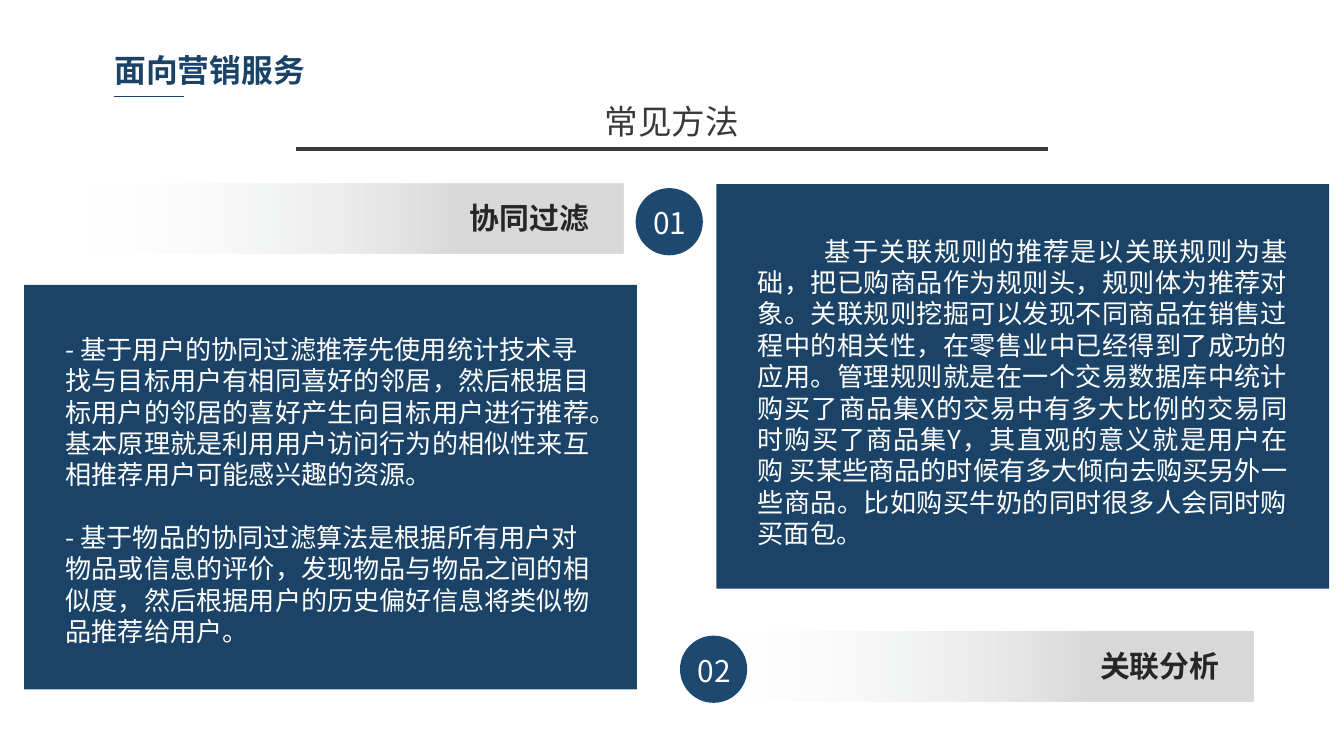
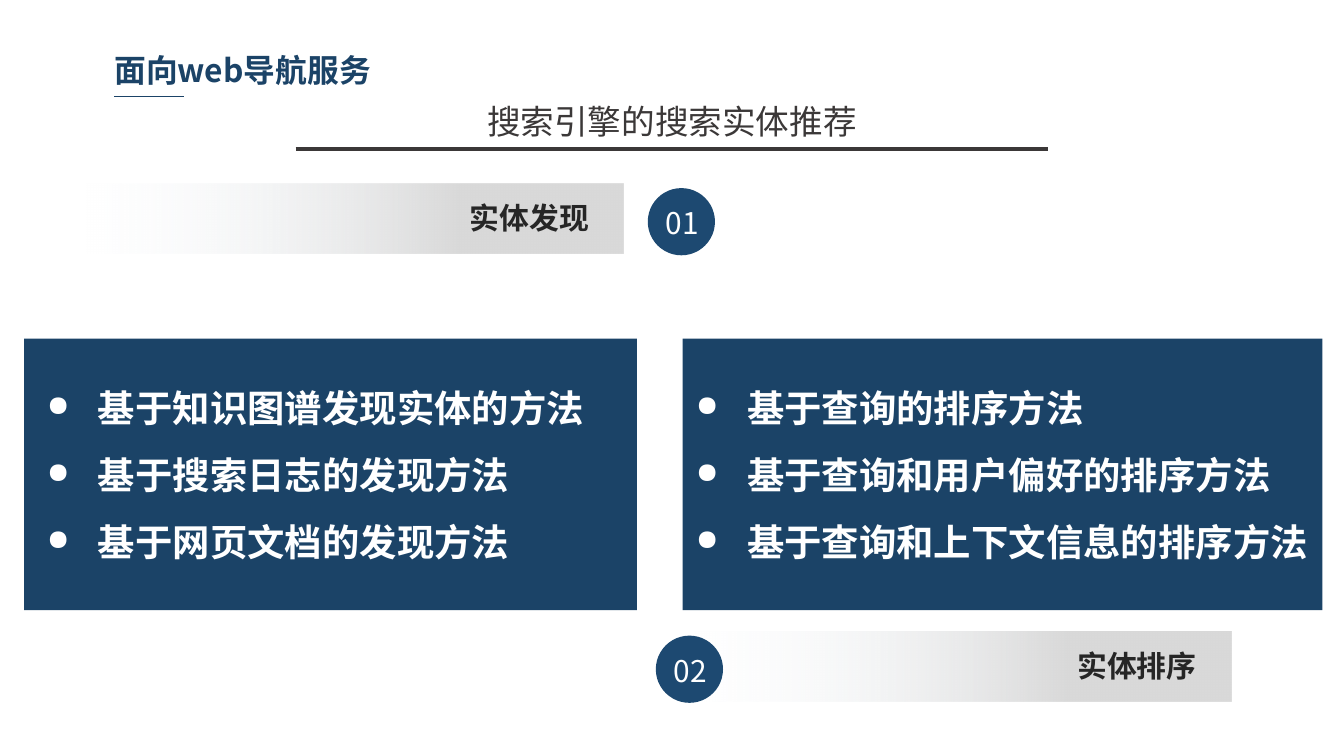
from lxml import etree
from pptx import Presentation
from pptx import util as u
from pptx.dml.color import RGBColor
from pptx.enum import shapes, text
from pptx.oxml import ns

FONT = "Noto Sans CJK SC"
NAVY = RGBColor(0x1B, 0x43, 0x67)
BADGE_BLUE = RGBColor(0x1D, 0x49, 0x71)
CHARCOAL = RGBColor(0x3B, 0x38, 0x38)
INK = RGBColor(0x26, 0x26, 0x26)
WHITE = RGBColor(0xFF, 0xFF, 0xFF)
PALE = RGBColor(0xF7, 0xFA, 0xFD)
GREY = RGBColor(0xD9, 0xD9, 0xD9)

ALIGN = text.PP_ALIGN
BANNER_LEFT, BANNER_TOP = 0.64, 1.37
LOWER_BANNER_TOP = 4.7
PANEL_LEFT, PANEL_WIDTH = 0.18, 4.56


def inches(box):
    return [u.Inches(value) for value in box]


def style_paragraph(paragraph, size, color, bold=False, align=ALIGN.LEFT):
    paragraph.alignment = align
    font = paragraph.font
    font.size, font.bold, font.name = u.Pt(size), bold, FONT
    font.color.rgb = color
    properties = paragraph._p.pPr.find(ns.qn("a:defRPr"))
    etree.SubElement(properties, ns.qn("a:ea"), typeface=FONT)


def indent_paragraph(paragraph, margin, first_line, bullet=None):
    properties = paragraph._p.get_or_add_pPr()
    properties.set("marL", str(u.Inches(margin)))
    properties.set("indent", str(u.Inches(first_line)))
    if bullet:
        etree.SubElement(properties, ns.qn("a:buSzPct"), val="77000")
        etree.SubElement(properties, ns.qn("a:buChar"), char=bullet)


def add_text(slide, box, lines):
    frame = slide.shapes.add_textbox(*inches(box)).text_frame
    frame.word_wrap = True
    frame.auto_size = text.MSO_AUTO_SIZE.SHAPE_TO_FIT_TEXT
    frame.text = "\n".join(lines)
    return frame


def add_block(slide, kind, box, color=None):
    shape = slide.shapes.add_shape(kind, *inches(box))
    shape.shadow.inherit = False
    shape.line.fill.background()
    if color is not None:
        shape.fill.solid()
        shape.fill.fore_color.rgb = color
    return shape


def add_rule(slide, left, right, top, color, width):
    rule = slide.shapes.add_connector(
        shapes.MSO_CONNECTOR.STRAIGHT, *inches((left, top, right, top)))
    rule.line.color.rgb = color
    rule.line.width = u.Pt(width)
    etree.SubElement(rule._element.spPr, ns.qn("a:effectLst"))


def add_header(slide, heading, subtitle):
    title = slide.shapes.title
    title.left, title.top, title.width, title.height = inches((0.78, 0.34, 2.47, 0.36))
    frame = title.text_frame
    frame.text = heading
    frame.word_wrap = True
    frame.auto_size = text.MSO_AUTO_SIZE.SHAPE_TO_FIT_TEXT
    frame.vertical_anchor = text.MSO_ANCHOR.TOP
    frame.margin_left = frame.margin_right = u.Inches(0.07)
    frame.margin_top = frame.margin_bottom = u.Inches(0.04)
    style_paragraph(frame.paragraphs[0], 17, NAVY, bold=True)
    add_rule(slide, 0.85, 1.37, 0.72, NAVY, 0.75)

    frame = add_text(slide, (1.97, 0.7, 6.06, 0.4), [subtitle])
    style_paragraph(frame.paragraphs[0], 18, CHARCOAL, align=ALIGN.CENTER)
    add_rule(slide, 2.2, 7.8, 1.11, CHARCOAL, 2)


def add_banner(slide, left, top, label):
    banner = add_block(slide, shapes.MSO_SHAPE.RECTANGLE, (left, top, 4, 0.52))
    banner.fill.gradient()
    banner.fill.gradient_angle = 0
    for stop, position, color in zip(banner.fill.gradient_stops, (0, 0.7), (PALE, GREY)):
        stop.position = position
        stop.color.rgb = color
    clear = banner._element.spPr.find(".//" + ns.qn("a:srgbClr"))
    etree.SubElement(clear, ns.qn("a:alpha"), val="0")
    frame = add_text(slide, (left + 1.12, top + 0.07, 2.72, 0.37), [label])
    style_paragraph(frame.paragraphs[0], 16, INK, bold=True, align=ALIGN.RIGHT)


def add_badge(slide, left, top, number):
    add_block(slide, shapes.MSO_SHAPE.OVAL, (left, top, 0.5, 0.5), BADGE_BLUE)
    frame = add_text(slide, (left + 0.01, top + 0.02, 0.49, 0.42), [number])
    frame.vertical_anchor = text.MSO_ANCHOR.MIDDLE
    paragraph = frame.paragraphs[0]
    paragraph.line_spacing = 1.2
    style_paragraph(paragraph, 16, WHITE, align=ALIGN.CENTER)


def add_sections(slide, labels, badge_lefts, lower_left):
    banners = ((BANNER_LEFT, BANNER_TOP), (lower_left, LOWER_BANNER_TOP))
    for index, (left, top) in enumerate(banners):
        add_banner(slide, left, top, labels[index])
        add_badge(slide, badge_lefts[index], top + 0.03, f"{index + 1:02}")


def add_prose_panel(slide, left, top, text_top, text_height, lines,
                    align=ALIGN.LEFT, first_line=0):
    add_block(slide, shapes.MSO_SHAPE.RECTANGLE, (left, top, PANEL_WIDTH, 3.01), NAVY)
    frame = add_text(slide, (left + 0.21, top + text_top, 4.14, text_height), lines)
    for index, paragraph in enumerate(frame.paragraphs):
        indent_paragraph(paragraph, 0, first_line)
        if index:
            paragraph.space_before = u.Pt(16.8)
        style_paragraph(paragraph, 14, WHITE, align=align)


def add_bullet_panel(slide, left, width, text_left, text_width, lines):
    top = 2.52
    add_block(slide, shapes.MSO_SHAPE.RECTANGLE, (left, top, width, 2.02), NAVY)
    frame = add_text(slide, (left + text_left, top + 0.13, text_width, 1.61), lines)
    for paragraph in frame.paragraphs:
        indent_paragraph(paragraph, 0.38, -0.38, "●")
        paragraph.line_spacing = 1.5
        style_paragraph(paragraph, 20, WHITE, bold=True)


def build_marketing_slide(slide):
    add_header(slide, "面向营销服务", "常见方法")
    add_sections(slide, ("协同过滤", "关联分析"), (4.73, 5.06), 5.33)
    add_prose_panel(slide, PANEL_LEFT, 2.12, 0.31, 2.46, [
        "- 基于用户的协同过滤推荐先使用统计技术寻找与目标用户有相同喜好的邻居，"
        "然后根据目标用户的邻居的喜好产生向目标用户进行推荐。"
        "基本原理就是利用用户访问行为的相似性来互相推荐用户可能感兴趣的资源。",
        "- 基于物品的协同过滤算法是根据所有用户对物品或信息的评价，"
        "发现物品与物品之间的相似度，然后根据用户的历史偏好信息将类似物品推荐给用户。",
    ])
    add_prose_panel(slide, 5.33, BANNER_TOP, 0.33, 2.22, [
        "基于关联规则的推荐是以关联规则为基础，把已购商品作为规则头，规则体为推荐对象。"
        "关联规则挖掘可以发现不同商品在销售过程中的相关性，在零售业中已经得到了成功的应用。"
        "管理规则就是在一个交易数据库中统计购买了商品集X的交易中有多大比例的交易同时购买了商品集Y，"
        "其直观的意义就是用户在购 买某些商品的时候有多大倾向去购买另外一些商品。"
        "比如购买牛奶的同时很多人会同时购买面包。",
    ], ALIGN.JUSTIFY, 0.5)


def build_navigation_slide(slide):
    add_header(slide, "面向web导航服务", "搜索引擎的搜索实体推荐")
    add_sections(slide, ("实体发现", "实体排序"), (4.82, 4.88), 5.16)
    add_bullet_panel(slide, PANEL_LEFT, PANEL_WIDTH, 0.07, 4.42, [
        "基于知识图谱发现实体的方法",
        "基于搜索日志的发现方法",
        "基于网页文档的发现方法",
    ])
    add_bullet_panel(slide, 5.08, 4.76, 0, 4.95, [
        "基于查询的排序方法",
        "基于查询和用户偏好的排序方法",
        "基于查询和上下文信息的排序方法",
    ])


def main():
    presentation = Presentation()
    presentation.slide_width = u.Inches(10)
    presentation.slide_height = presentation.slide_width * 9 // 16
    title_only = presentation.slide_layouts[5]
    for build in (build_marketing_slide, build_navigation_slide):
        build(presentation.slides.add_slide(title_only))
    presentation.save("out.pptx")


if __name__ == "__main__":
    main()
